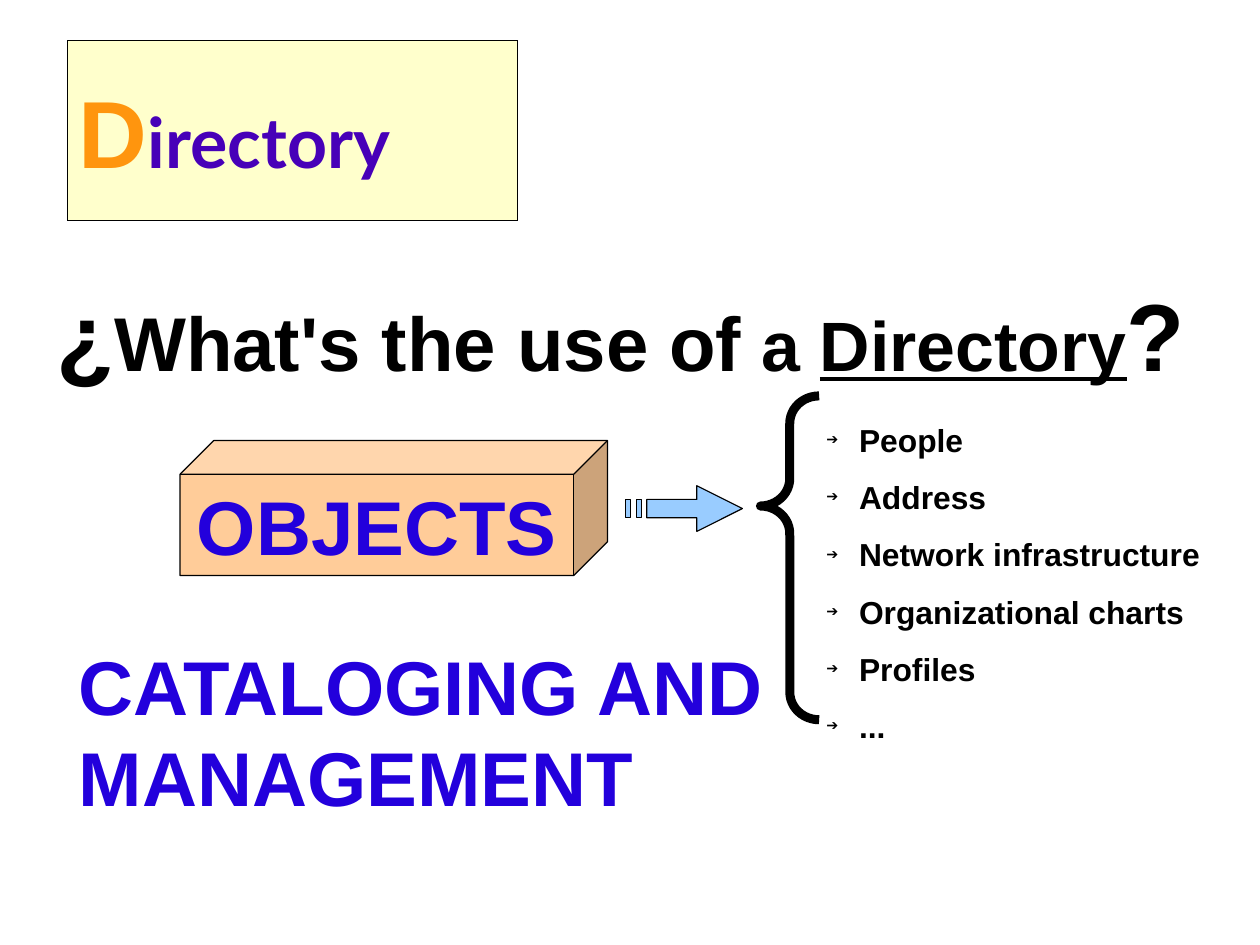
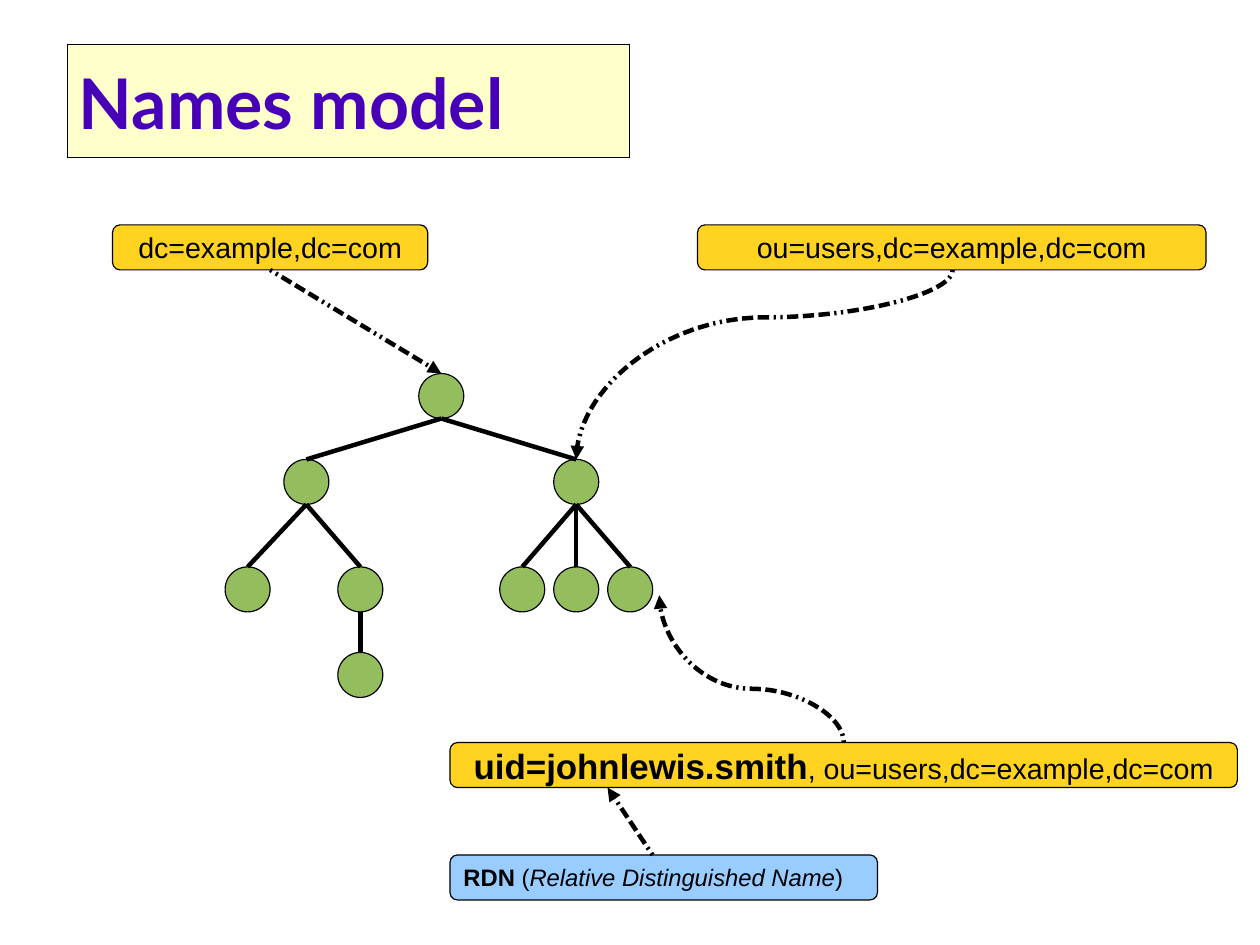
from lxml.etree import SubElement
from pptx import Presentation
from pptx.dml.color import RGBColor
from pptx.enum.shapes import MSO_CONNECTOR as Link, MSO_SHAPE as Shape
from pptx.enum.text import MSO_ANCHOR as Anchor, MSO_AUTO_SIZE as AutoSize, PP_ALIGN as Align
from pptx.oxml.ns import qn
from pptx.util import Pt

COLOURS = {
    "black": "000000", "cream": "FFFFCC", "orange": "FF950E", "violet": "4700B8",
    "blue": "2300DC", "peach": "FFCC99", "sky": "99CCFF", "green": "94BD5E",
    "gold": "FFD320",
}
TITLE_FONT = "Lato"
TEXT_FONT = "Arial"
SLIDE_SIZE = (793.7, 595.3)

DIRECTORY_TITLE = [
    ("D", dict(size=60, colour="orange", bold=True)),
    ("irectory", dict(size=44, colour="violet", bold=True, name=TITLE_FONT)),
]
NAMES_TITLE = [("Names model", dict(size=44, colour="violet", bold=True, name=TITLE_FONT))]
QUESTION = [
    ("¿", dict(size=60, bold=True)),
    ("What's the use of", dict(size=48, bold=True)),
    (" a ", dict(size=44, bold=True)),
    ("Directory", dict(size=44, bold=True, underline=True)),
    ("?", dict(size=60, bold=True)),
]
BIG_BLUE = dict(size=48, colour="blue", bold=True)
OBJECT_KINDS = ["People", "Address", "Network infrastructure", "Organizational charts",
                "Profiles", "..."]
ARROW_OUTLINES = [
    [(439, 306), (467.7, 320.4), (439, 334.8), (439, 326.2),
     (407.5, 326.2), (407.5, 314.6), (439, 314.6)],
    [(394, 314.6), (394, 326.2), (397, 326.2), (397, 314.6)],
    [(401, 314.6), (401, 326.2), (404, 326.2), (404, 314.6)],
]

NODE_SIZE = 28.35
NODES = {
    "root": (278, 249.5), "left": (193, 303.6), "right": (363, 303.6),
    "left a": (156, 371.3), "left b": (227, 371.3), "left b child": (227, 425.2),
    "right a": (329, 371.3), "right b": (363, 371.3), "right c": (397, 371.3),
}
BRANCHES = [
    ("root", "left"), ("root", "right"), ("left", "left a"), ("left", "left b"),
    ("left b", "left b child"), ("right", "right a"), ("right", "right b"),
    ("right", "right c"),
]
LABELS = {
    "base": (70.9, 141.7, 198.5, "gold", Align.CENTER,
             [("dc=example,dc=com", dict(size=18))]),
    "users": (439.4, 141.7, 320.3, "gold", Align.CENTER,
              [("ou=users,dc=example,dc=com", dict(size=18))]),
    "person": (283.5, 467.8, 496, "gold", Align.CENTER,
               [("uid=johnlewis.smith", dict(size=22, bold=True)),
                (", ou=users,dc=example,dc=com", dict(size=18))]),
    "rdn": (283.5, 538.6, 269.3, "sky", Align.LEFT,
            [("RDN", dict(size=15, bold=True)), (" (", dict(size=15)),
             ("Relative Distinguished Name", dict(size=15, italic=True)),
             (")", dict(size=15))]),
}
POINTERS = [((600, 170.1), (363, 289.4), 0.25), ((531.5, 467.8), (415.3, 375), 0.365)]
DASHES = [(50, 100)] * 2 + [(250, 100)] * 3


def rgb(name):
    return RGBColor.from_string(COLOURS[name])


def place(shape, left, top, width, height):
    shape.left, shape.top = Pt(left), Pt(top)
    shape.width, shape.height = Pt(width), Pt(height)


def paint(shape, fill):
    shape.fill.solid()
    shape.fill.fore_color.rgb = rgb(fill)
    shape.line.color.rgb = rgb("black")
    shape.line.width = Pt(0)


def style(span, size, colour="black", name=TEXT_FONT, bold=False, italic=False, underline=False):
    font = span.font
    font.name, font.size, font.color.rgb = name, Pt(size), rgb(colour)
    font.bold, font.italic, font.underline = bold, italic, underline


def write(box, spans, align=Align.LEFT, anchor=Anchor.MIDDLE):
    frame = box.text_frame
    frame.word_wrap = True
    frame.auto_size = AutoSize.NONE
    frame.vertical_anchor = anchor
    para = frame.paragraphs[0]
    para.alignment = align
    for text, look in spans:
        span = para.add_run()
        span.text = text
        style(span, **look)


def add_title(page, spans, *bounds):
    title = page.shapes.title
    place(title, *bounds)
    paint(title, "cream")
    title.line.fill.solid()
    title.line.color.rgb = rgb("black")
    write(title, spans)


def add_text(page, spans, *bounds):
    box = page.shapes.add_textbox(*map(Pt, bounds))
    write(box, spans, anchor=Anchor.TOP)


def add_figure(page, kind, fill, *bounds):
    figure = page.shapes.add_shape(kind, *map(Pt, bounds))
    figure.shadow.inherit = False
    paint(figure, fill)
    return figure


def add_line(page, start, end, pointer=False, kind=Link.STRAIGHT):
    line = page.shapes.add_connector(kind, *map(Pt, start + end))
    line.line.color.rgb = rgb("black")
    line.line.width = Pt(2.83)
    properties = line._element.spPr
    if pointer:
        stroke = properties.find(qn("a:ln"))
        dash = SubElement(stroke, qn("a:custDash"))
        for length, gap in DASHES:
            SubElement(dash, qn("a:ds"), d=str(length * 1000), sp=str(gap * 1000))
        SubElement(stroke, qn("a:tailEnd"), type="triangle")
    SubElement(properties, qn("a:effectLst"))
    return line


def add_curve(page, start, end, bend):
    curve = add_line(page, start, end, True, Link.CURVE)
    across, down = abs(end[0] - start[0]), abs(end[1] - start[1])
    middle_x, middle_y = (start[0] + end[0]) / 2, (start[1] + end[1]) / 2
    place(curve, middle_x - down / 2, middle_y - across / 2, down, across)
    turn = curve._element.spPr.find(qn("a:xfrm"))
    for flip in ("flipH", "flipV"):
        turn.attrib.pop(flip, None)
    rising = end[1] < start[1]
    turn.set("rot", str((270 if rising else 90) * 60000))
    if rising:
        turn.set("flipV", "1")
    geometry = curve._element.spPr.find(qn("a:prstGeom"))
    values = geometry.find(qn("a:avLst"))
    if values is None:
        values = SubElement(geometry, qn("a:avLst"))
    SubElement(values, qn("a:gd"), name="adj1", fmla=f"val {round(bend * 100000)}")


def add_kinds(page):
    box = page.placeholders[1]
    place(box, 513.4, 249.5, 264, 226)
    frame = box.text_frame
    frame.text = "\n".join(OBJECT_KINDS)
    frame.auto_size = AutoSize.NONE
    frame.vertical_anchor = Anchor.TOP
    for para in frame.paragraphs:
        properties = para._p.get_or_add_pPr()
        properties.set("marL", str(Pt(20.5)))
        properties.set("indent", str(-Pt(20.5)))
        tint = SubElement(properties, qn("a:buClr"))
        SubElement(tint, qn("a:srgbClr"), val=COLOURS["black"])
        SubElement(properties, qn("a:buSzPct"), val="45000")
        SubElement(properties, qn("a:buFont"), typeface=TEXT_FONT)
        SubElement(properties, qn("a:buChar"), char="➔")
        para.space_before = Pt(0)
        para.line_spacing = Pt(36)
        style(para.runs[0], 20, bold=True)


def add_striped_arrow(page):
    outlines = [[(Pt(x), Pt(y)) for x, y in outline] for outline in ARROW_OUTLINES]
    builder = page.shapes.build_freeform(*outlines[0][0])
    for number, outline in enumerate(outlines):
        if number:
            builder.move_to(*outline[0])
        builder.add_line_segments(outline[1:], close=True)
    arrow = builder.convert_to_shape()
    arrow.shadow.inherit = False
    paint(arrow, "sky")


def build_directory(deck):
    page = deck.slides.add_slide(deck.slide_layouts[1])
    add_title(page, DIRECTORY_TITLE, 42.5, 25.5, 283.5, 113.4)
    add_text(page, QUESTION, 28.3, 170.6, 751, 98.6)
    add_text(page, [("CATALOGING AND MANAGEMENT", BIG_BLUE)], 42.5, 399, 453.6, 168)
    cube = add_figure(page, Shape.CUBE, "peach", 113.4, 277.5, 269.3, 85)
    cube.adjustments[0] = 0.25
    write(cube, [("OBJECTS", BIG_BLUE)], Align.CENTER)
    add_striped_arrow(page)
    brace = add_figure(page, Shape.LEFT_BRACE, "black", 479, 249.4, 37, 204)
    brace.adjustments[0], brace.adjustments[1] = 0.47, 0.34
    brace.fill.background()
    brace.line.width = Pt(5.67)
    add_kinds(page)


def build_names(deck):
    page = deck.slides.add_slide(deck.slide_layouts[5])
    add_title(page, NAMES_TITLE, 42.5, 28.3, 354.3, 70.9)
    radius = NODE_SIZE / 2
    for x, y in NODES.values():
        add_figure(page, Shape.OVAL, "green", x - radius, y - radius, NODE_SIZE, NODE_SIZE)
    for parent, child in BRANCHES:
        (start_x, start_y), (end_x, end_y) = NODES[parent], NODES[child]
        add_line(page, (start_x, start_y + radius), (end_x, end_y - radius))
    labels = {}
    for name, (left, top, width, fill, align, spans) in LABELS.items():
        label = add_figure(page, Shape.ROUNDED_RECTANGLE, fill, left, top, width, NODE_SIZE)
        write(label, spans, align)
        labels[name] = label
    root_x, root_y = NODES["root"]
    pointer = add_line(page, (170.1, 170.1), (root_x, root_y - radius), True)
    pointer.begin_connect(labels["base"], 2)
    add_line(page, (411, 538.6), (382.7, 496.1), True)
    for start, end, bend in POINTERS:
        add_curve(page, start, end, bend)


def main():
    deck = Presentation()
    deck.slide_width, deck.slide_height = map(Pt, SLIDE_SIZE)
    build_directory(deck)
    build_names(deck)
    deck.save("out.pptx")


if __name__ == "__main__":
    main()
